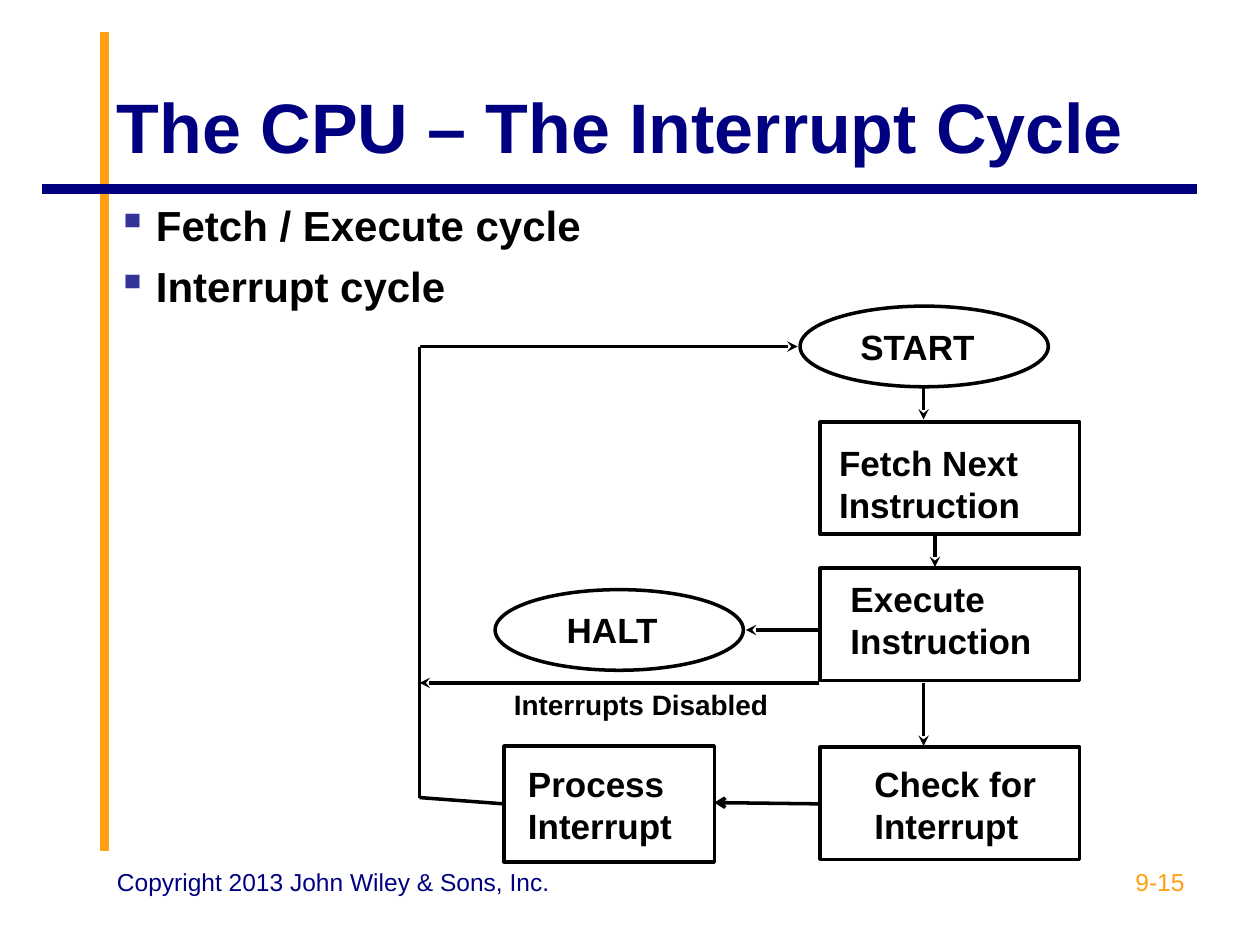
import dataclasses

import lxml.etree
import pptx
import pptx.dml.color
import pptx.enum.shapes
import pptx.enum.text
import pptx.oxml.ns
import pptx.util

Inches = pptx.util.Inches
Pt = pptx.util.Pt
Align = pptx.enum.text.PP_ALIGN
Anchor = pptx.enum.text.MSO_ANCHOR
Preset = pptx.enum.shapes.MSO_SHAPE


@dataclasses.dataclass(frozen=True)
class Theme:
    font: str = "Arial"
    navy: str = "000080"
    orange: str = "FF9F11"
    bullet: str = "333399"
    black: str = "000000"
    white: str = "FFFFFF"
    title_size: int = 40
    bullet_size: int = 24
    node_size: int = 20
    label_size: int = 16
    footer_size: int = 14
    rule_width: float = 5.5
    flow_width: float = 2


@dataclasses.dataclass(frozen=True)
class Box:
    left: float
    top: float
    width: float
    height: float

    def inner(self, left, top, width, height):
        return Box(self.left + left, self.top + top, width, height)

    def lengths(self):
        return [Inches(value) for value in (self.left, self.top, self.width, self.height)]


THEME = Theme()


def color(value):
    return pptx.dml.color.RGBColor.from_string(value)


def add_bullet(paragraph, indent):
    properties = paragraph._p.get_or_add_pPr()
    properties.set("marL", str(Inches(indent)))
    properties.set("indent", str(-Inches(indent)))
    bullet_color = lxml.etree.SubElement(properties, pptx.oxml.ns.qn("a:buClr"))
    lxml.etree.SubElement(bullet_color, pptx.oxml.ns.qn("a:srgbClr"), val=THEME.bullet)
    lxml.etree.SubElement(properties, pptx.oxml.ns.qn("a:buChar"), char="▪")


def write_text(shape, lines, *, size, ink=THEME.black, bold=True, align=Align.LEFT,
               anchor=Anchor.TOP, insets=(0.1, 0.05, 0.1, 0.05), wrap=True,
               bullet_indent=None, line_spacing=None, gap=0):
    frame = shape.text_frame
    frame.word_wrap = wrap
    frame.vertical_anchor = anchor
    frame.margin_left, frame.margin_top, frame.margin_right, frame.margin_bottom = map(Inches, insets)
    for index, line in enumerate(lines):
        paragraph = frame.add_paragraph() if index else frame.paragraphs[0]
        if bullet_indent:
            add_bullet(paragraph, bullet_indent)
        paragraph.alignment = align
        paragraph.line_spacing = line_spacing
        paragraph.space_before = Pt(gap if index else 0)
        run = paragraph.add_run()
        run.text = line
        run.font.name = THEME.font
        run.font.size = Pt(size)
        run.font.bold = bold
        run.font.color.rgb = color(ink)


def add_text(slide, box, lines, **text_format):
    write_text(slide.shapes.add_textbox(*box.lengths()), lines, **text_format)


def add_line(slide, start, end, ink=THEME.black, width=THEME.flow_width, arrow=None):
    connector = slide.shapes.add_connector(
        pptx.enum.shapes.MSO_CONNECTOR.STRAIGHT, *map(Inches, (*start, *end)))
    connector.line.color.rgb = color(ink)
    connector.line.width = Pt(width)
    if arrow:
        lxml.etree.SubElement(connector.get_or_add_ln(), pptx.oxml.ns.qn("a:tailEnd"), type=arrow)
    lxml.etree.SubElement(connector._element.spPr, pptx.oxml.ns.qn("a:effectLst"))


def add_node(slide, box, preset, lines, insets):
    shape = slide.shapes.add_shape(preset, *box.lengths())
    shape.shadow.inherit = False
    shape.fill.solid()
    shape.fill.fore_color.rgb = color(THEME.white)
    shape.line.color.rgb = color(THEME.black)
    shape.line.width = Pt(THEME.flow_width)
    write_text(shape, lines, size=THEME.node_size, insets=(*insets, 0, 0))


def add_rules(slide, box):
    axis, level = box.left + 0.5, box.top + 1.25
    add_line(slide, (axis, box.top + box.height), (axis, box.top), THEME.orange, THEME.rule_width)
    add_line(slide, (box.left + box.width, level), (box.left, level), THEME.navy, THEME.rule_width)


def add_title(slide, box):
    add_text(slide, box, ["The CPU – The Interrupt Cycle"], size=THEME.title_size,
             ink=THEME.navy, anchor=Anchor.BOTTOM)


def add_bullets(slide, box):
    add_text(slide, box, ["Fetch / Execute cycle", "Interrupt cycle"], size=THEME.bullet_size,
             bullet_indent=0.31, line_spacing=0.9, gap=9)


def add_footer(slide, box):
    number_width = 2.33
    add_text(slide, box.inner(0, 0, 3.67, box.height), ["Copyright 2013 John Wiley & Sons, Inc."],
             size=THEME.footer_size, ink=THEME.navy, bold=False)
    add_text(slide, box.inner(box.width - number_width, 0, number_width, box.height), ["9-15"],
             size=THEME.footer_size, ink=THEME.orange, bold=False, align=Align.RIGHT)


def add_flowchart(slide, box):
    oval, step = (1.97, 0.64), (2.06, 0.89)
    nodes = [
        (Preset.OVAL, (3.02, 0), oval, ["START"], (0.19, 0.06)),
        (Preset.RECTANGLE, (3.18, 0.92), step, ["Fetch Next", "Instruction"], (0.15, 0.15)),
        (Preset.RECTANGLE, (3.18, 2.08), step, ["Execute", "Instruction"], (0.24, 0.07)),
        (Preset.RECTANGLE, (3.18, 3.5), step, ["Check for", "Interrupt"], (0.43, 0.12)),
        (Preset.OVAL, (0.6, 2.25), oval, ["HALT"], (0.28, 0.06)),
        (Preset.RECTANGLE, (0.67, 3.49), (1.67, 0.92), ["Process", "Interrupt"], (0.19, 0.13)),
    ]
    for preset, position, size, lines, insets in nodes:
        add_node(slide, box.inner(*position, *size), preset, lines, insets)

    flows = [
        ((0, 0.32), (0, 3.9), None),
        ((0, 0.32), (3, 0.32), "stealth"),
        ((3.17, 2.57), (2.59, 2.57), "stealth"),
        ((3.17, 2.99), (0, 2.99), "stealth"),
        ((4, 0.65), (4, 0.9), "stealth"),
        ((4.09, 1.82), (4.09, 2.07), "stealth"),
        ((4, 2.99), (4, 3.49), "stealth"),
        ((3.18, 3.95), (2.34, 3.94), "arrow"),
        ((0, 3.9), (0.67, 3.95), None),
    ]
    for start, end, arrow in flows:
        points = [(box.left + x, box.top + y) for x, y in (start, end)]
        add_line(slide, *points, arrow=arrow)

    add_text(slide, box.inner(0.65, 2.98, 2.22, 0.37), ["Interrupts Disabled"],
             size=THEME.label_size, wrap=False)


def main():
    presentation = pptx.Presentation()
    presentation.slide_width = Inches(10)
    presentation.slide_height = Inches(7.5)
    slide = presentation.slides.add_slide(presentation.slide_layouts[6])
    add_rules(slide, Box(0.33, 0.25, 9.17, 6.5))
    add_footer(slide, Box(0.83, 6.83, 8.67, 0.52))
    add_title(slide, Box(0.83, 0.5, 8.67, 0.88))
    add_bullets(slide, Box(0.83, 1.58, 4, 1.08))
    add_flowchart(slide, Box(3.33, 2.43, 5.24, 4.41))
    presentation.save("out.pptx")


if __name__ == "__main__":
    main()
